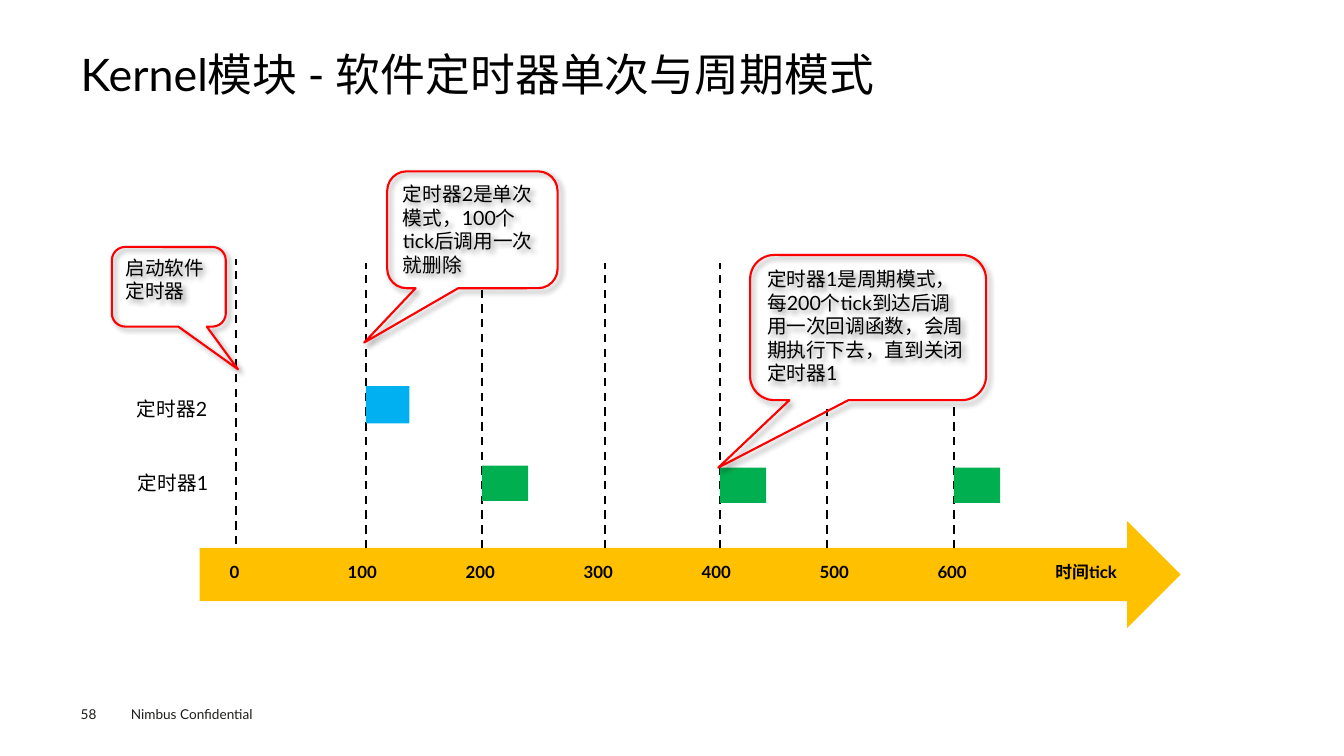
"""Build the slide on one-shot and periodic software timers."""
from dataclasses import dataclass

from lxml.etree import SubElement
from pptx import Presentation
from pptx.dml.color import RGBColor
from pptx.enum.dml import MSO_LINE
from pptx.enum.shapes import MSO_CONNECTOR, MSO_SHAPE
from pptx.enum.text import MSO_ANCHOR
from pptx.oxml import parse_xml
from pptx.oxml.ns import nsdecls, qn
from pptx.util import Inches, Pt


@dataclass(frozen=True)
class Theme:
    font: str = "Lato"
    black: RGBColor = RGBColor(0, 0, 0)
    grey: RGBColor = RGBColor(0x1D, 0x1D, 0x1B)
    gold: RGBColor = RGBColor(0xFF, 0xC0, 0)
    blue: RGBColor = RGBColor(0, 0xB0, 0xF0)
    green: RGBColor = RGBColor(0, 0xB0, 0x50)
    red: RGBColor = RGBColor(0xFF, 0, 0)
    title: float = 32
    body: float = 14
    tick: float = 12
    foot: float = 9.7
    line: float = 1.5


theme = Theme()
deck = Presentation()
deck.slide_width, deck.slide_height = Inches(13.33), Inches(7.5)
slide = deck.slides.add_slide(deck.slide_layouts[6])
shapes = slide.shapes


def write(shape, text, size, color=theme.black, bold=False):
    frame = shape.text_frame
    frame.word_wrap = True
    frame.vertical_anchor = MSO_ANCHOR.TOP
    para = frame.paragraphs[0]
    para.alignment = 1
    run = para.add_run()
    run.text = text
    font = run.font
    font.name, font.size, font.bold = theme.font, Pt(size), bold
    font.color.rgb = color
    return frame


def block(kind, box, fill):
    shape = shapes.add_shape(kind, *map(Inches, box))
    shape.shadow.inherit = False
    shape.fill.solid()
    shape.fill.fore_color.rgb = fill
    shape.line.fill.background()


labels = [
    ("Nimbus Confidential", (1.2, 6.95, 1.6, 0.27), theme.foot, theme.grey, False),
    ("58", (0.8, 7, 0.55, 0.16), theme.foot, theme.grey, True),
    ("Kernel模块 - 软件定时器单次与周期模式", (0.8, 0.49, 11.73, 0.54),
     theme.title, theme.black, True),
    ("定时器1", (1.27, 4.62, 1.06, 0.55), theme.body, theme.black, False),
    ("定时器2", (1.26, 3.89, 1.06, 0.55), theme.body, theme.black, False),
]
for text, box, size, color, flush in labels:
    frame = write(shapes.add_textbox(*map(Inches, box)), text, size, color)
    if flush:
        frame.margin_left = frame.margin_right = 0
        frame.margin_top = frame.margin_bottom = 0
        frame.vertical_anchor = MSO_ANCHOR.MIDDLE
    if size == theme.title:
        frame.paragraphs[0].line_spacing = 0.9

block(MSO_SHAPE.RIGHT_ARROW, (1.98, 5.17, 9.73, 1.06), theme.gold)

ticks = [str(100 * step) for step in range(7)] + ["时间tick"]
for step, text in enumerate(ticks):
    width = 0.72 if text.isdigit() else 1.1
    box = (2.18 + 1.17 * step, 5.52, width, 0.34)
    write(shapes.add_textbox(*map(Inches, box)), text, theme.tick, bold=True)

marks = [
    (2.34, 5.4, 2.57), (3.63, 5.44, 2.61), (4.78, 5.44, 2.86),
    (6, 5.44, 2.61), (7.14, 5.44, 2.61), (8.2, 5.44, 4.06), (9.46, 5.44, 3.97),
]
for left, low, high in marks:
    ends = map(Inches, (left, low, left, high))
    line = shapes.add_connector(MSO_CONNECTOR.STRAIGHT, *ends)
    line.line.color.rgb = theme.black
    line.line.width = Pt(theme.line)
    line.line.dash_style = MSO_LINE.DASH
    SubElement(line._element.spPr, qn("a:effectLst"))

calls = [
    (3.63, 3.83, 0.43, 0.37, theme.blue),
    (4.78, 4.62, 0.46, 0.35, theme.green),
    (7.14, 4.64, 0.46, 0.35, theme.green),
    (9.46, 4.64, 0.46, 0.35, theme.green),
]
for *box, fill in calls:
    block(MSO_SHAPE.RECTANGLE, box, fill)

shadow = f"""<a:effectLst {nsdecls("a")}>
<a:outerShdw blurRad="{Pt(4)}" dist="{Pt(3)}" dir="2700000" algn="tl" rotWithShape="0">
<a:srgbClr val="{theme.black}"><a:alpha val="40000"/></a:srgbClr>
</a:outerShdw></a:effectLst>"""
notes = [
    ("启动软件定时器", (1.11, 2.45, 1.13, 0.79), (0.607, 1.036)),
    ("定时器2是单次模式，100个tick后调用一次就删除",
     (3.84, 1.7, 1.69, 1.16), (-0.635, 0.965)),
    ("定时器1是周期模式，每200个tick到达后调用一次回调函数，会周期执行下去，直到关闭定时器1",
     (7.44, 2.53, 2.34, 1.44), (-0.635, 0.965)),
]
for text, box, tip in notes:
    note = shapes.add_shape(MSO_SHAPE.ROUNDED_RECTANGULAR_CALLOUT, *map(Inches, box))
    note.adjustments[0], note.adjustments[1] = tip
    note.fill.background()
    note.line.color.rgb = theme.red
    note.line.width = Pt(theme.line)
    note._element.spPr.append(parse_xml(shadow))
    write(note, text, theme.body)

deck.save("out.pptx")
